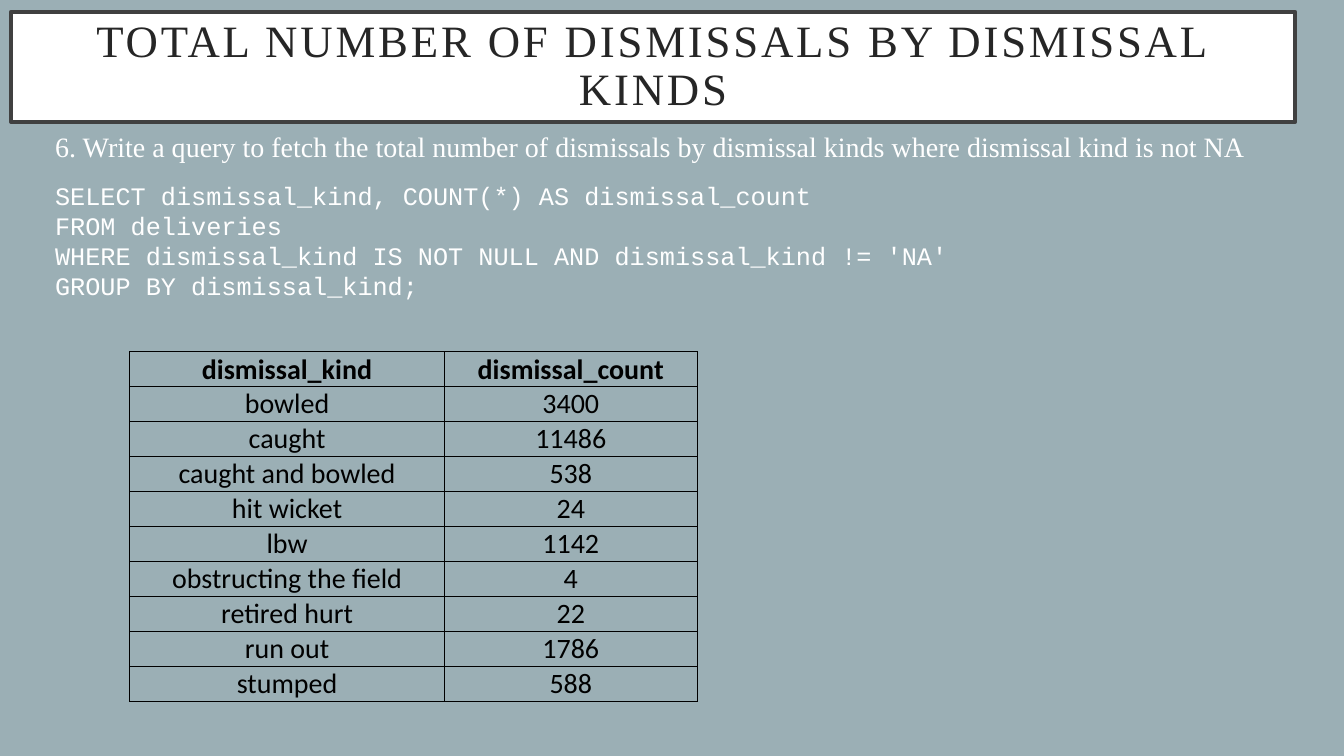
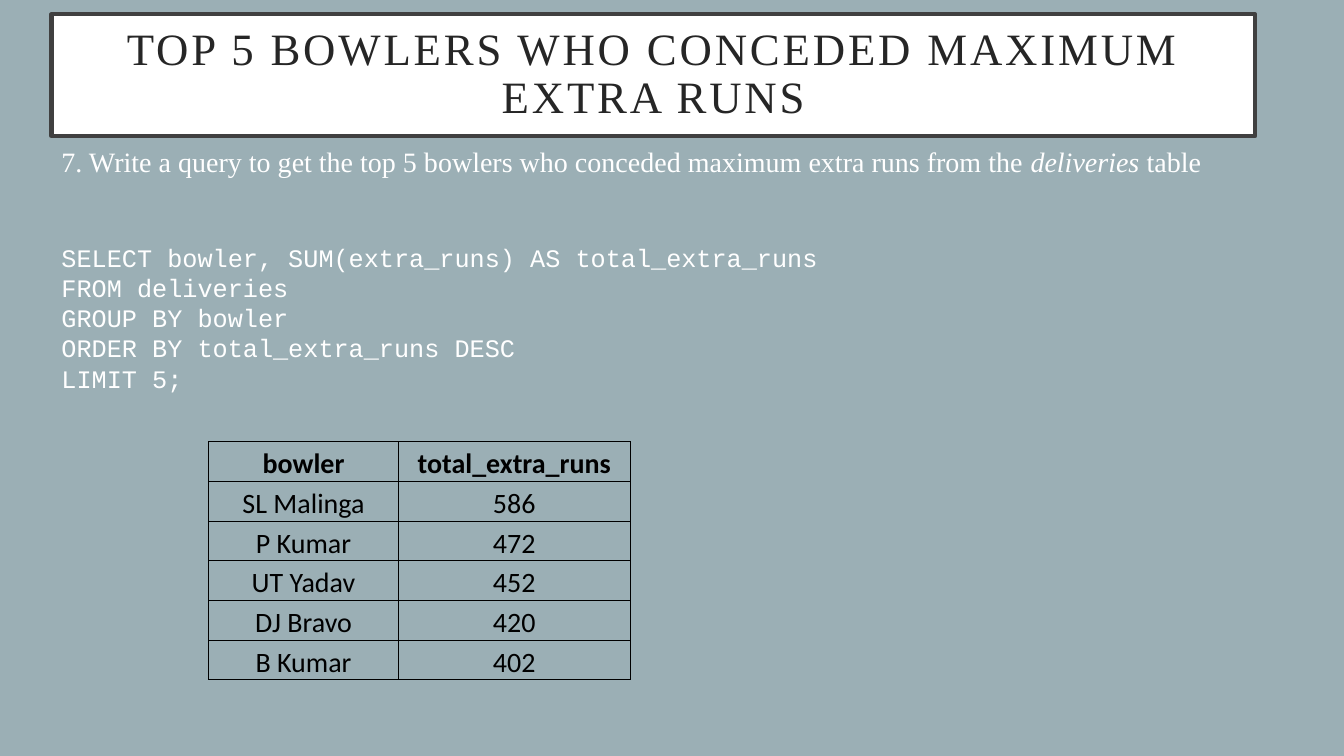
from lxml.etree import SubElement
from pptx import Presentation
from pptx.dml.color import RGBColor
from pptx.enum.shapes import MSO_SHAPE
from pptx.enum.text import MSO_ANCHOR, PP_ALIGN
from pptx.oxml.ns import qn
from pptx.util import Cm, Pt

# Shared look
BACKGROUND, WHITE, BLACK = "9BAFB5", "FFFFFF", "000000"
TITLE_BORDER, TITLE_TEXT = "404040", "262626"
SERIF, MONO, SANS = "Times New Roman", "Courier New", "Calibri"

# Slide content
DISMISSAL_QUERY = """SELECT dismissal_kind, COUNT(*) AS dismissal_count
FROM deliveries
WHERE dismissal_kind IS NOT NULL AND dismissal_kind != 'NA'
GROUP BY dismissal_kind;"""
DISMISSALS = [
    ("dismissal_kind", "dismissal_count"),
    ("bowled", "3400"),
    ("caught", "11486"),
    ("caught and bowled", "538"),
    ("hit wicket", "24"),
    ("lbw", "1142"),
    ("obstructing the field", "4"),
    ("retired hurt", "22"),
    ("run out", "1786"),
    ("stumped", "588"),
]
BOWLER_QUERY = """SELECT bowler, SUM(extra_runs) AS total_extra_runs
FROM deliveries
GROUP BY bowler
ORDER BY total_extra_runs DESC
LIMIT 5;"""
BOWLERS = [
    ("bowler", "total_extra_runs"),
    ("SL Malinga", "586"),
    ("P Kumar", "472"),
    ("UT Yadav", "452"),
    ("DJ Bravo", "420"),
    ("B Kumar", "402"),
]


def rgb(value):
    return RGBColor.from_string(value)


def style(font, name, size, color, bold=False):
    font.name, font.size, font.bold = name, Pt(size), bold
    font.color.rgb = rgb(color)


def new_slide(prs):
    slide = prs.slides.add_slide(prs.slide_layouts[6])
    slide.background.fill.solid()
    slide.background.fill.fore_color.rgb = rgb(BACKGROUND)
    return slide


def add_title(slide, text, left, top, width, height):
    banner = slide.shapes.add_shape(
        MSO_SHAPE.RECTANGLE, Cm(left), Cm(top), Cm(width), Cm(height))
    banner.shadow.inherit = False
    banner.fill.solid()
    banner.fill.fore_color.rgb = rgb(WHITE)
    banner.line.color.rgb = rgb(TITLE_BORDER)
    banner.line.width = Pt(3)
    frame = banner.text_frame
    frame.word_wrap = True
    frame.vertical_anchor = MSO_ANCHOR.MIDDLE
    frame.margin_left = frame.margin_right = Cm(0.76)
    frame.margin_top = frame.margin_bottom = Cm(0.51)
    heading = frame.paragraphs[0]
    heading.alignment = PP_ALIGN.CENTER
    heading.line_spacing = 0.9
    run = heading.add_run()
    run.text = text
    run._r.get_or_add_rPr().set("spc", "200")  # letter spacing of 2 pt
    style(heading.font, SERIF, 32, TITLE_TEXT)


def add_task(slide, question, query, left, top, height, query_gap):
    """Question made of (text, italic) parts, with its SQL query below."""
    body = slide.shapes.add_textbox(Cm(left), Cm(top), Cm(31.9), Cm(height))
    frame = body.text_frame
    frame.word_wrap = True
    prompt = frame.paragraphs[0]
    prompt.alignment = PP_ALIGN.JUSTIFY
    for text, italic in question:
        run = prompt.add_run()
        run.text = text
        run.font.italic = italic
    style(prompt.font, SERIF, 20, WHITE)

    code = frame.add_paragraph()
    code.text = query
    code.space_before = Pt(query_gap)
    code.line_spacing = Pt(21.5)
    style(code.font, MONO, 18, WHITE)


def set_borders(cell):
    properties = cell._tc.get_or_add_tcPr()
    for side in ("a:lnL", "a:lnR", "a:lnT", "a:lnB"):
        border = SubElement(properties, qn(side), w=str(Pt(0.5)))
        fill = SubElement(border, qn("a:solidFill"))
        SubElement(fill, qn("a:srgbClr"), val=BLACK)


def add_result(slide, rows, left, top, column_widths, row_height):
    result = slide.shapes.add_table(
        len(rows), len(column_widths), Cm(left), Cm(top),
        Cm(sum(column_widths)), Cm(row_height * len(rows))).table
    result.horz_banding = False
    for column, width in zip(result.columns, column_widths):
        column.width = Cm(width)
    for r, values in enumerate(rows):
        result.rows[r].height = Cm(row_height)
        for c, value in enumerate(values):
            cell = result.cell(r, c)
            set_borders(cell)
            cell.fill.background()
            cell.vertical_anchor = MSO_ANCHOR.BOTTOM
            cell.margin_left = cell.margin_right = cell.margin_top = Cm(0.02)
            cell.margin_bottom = 0
            entry = cell.text_frame.paragraphs[0]
            entry.text = value
            entry.alignment = PP_ALIGN.CENTER
            style(entry.font, SANS, 20, BLACK, bold=r == 0)


def main():
    prs = Presentation()
    prs.slide_width, prs.slide_height = Cm(33.87), Cm(19.05)

    # Dismissals by kind
    slide = new_slide(prs)
    add_title(slide, "TOTAL NUMBER OF DISMISSALS BY DISMISSAL KINDS",
              0.28, 0.3, 32.36, 2.77)
    question = [("6. Write a query to fetch the total number of dismissals by "
                 "dismissal kinds where dismissal kind is not NA", False)]
    add_task(slide, question, DISMISSAL_QUERY, 1.14, 3.15, 15.6, 12)
    add_result(slide, DISMISSALS, 3.27, 8.86, (7.93, 6.37), 0.88)

    # Bowlers with most extras
    slide = new_slide(prs)
    add_title(slide, "TOP 5 BOWLERS WHO CONCEDED MAXIMUM EXTRA RUNS",
              1.3, 0.36, 30.33, 3.07)
    question = [("7. Write a query to get the top 5 bowlers who conceded "
                 "maximum extra runs from the ", False),
                ("deliveries ", True), ("table", False)]
    add_task(slide, question, BOWLER_QUERY, 1.3, 3.52, 14.8, 46)
    add_result(slide, BOWLERS, 5.26, 11.13, (4.78, 5.84), 1)

    prs.save("out.pptx")


if __name__ == "__main__":
    main()
